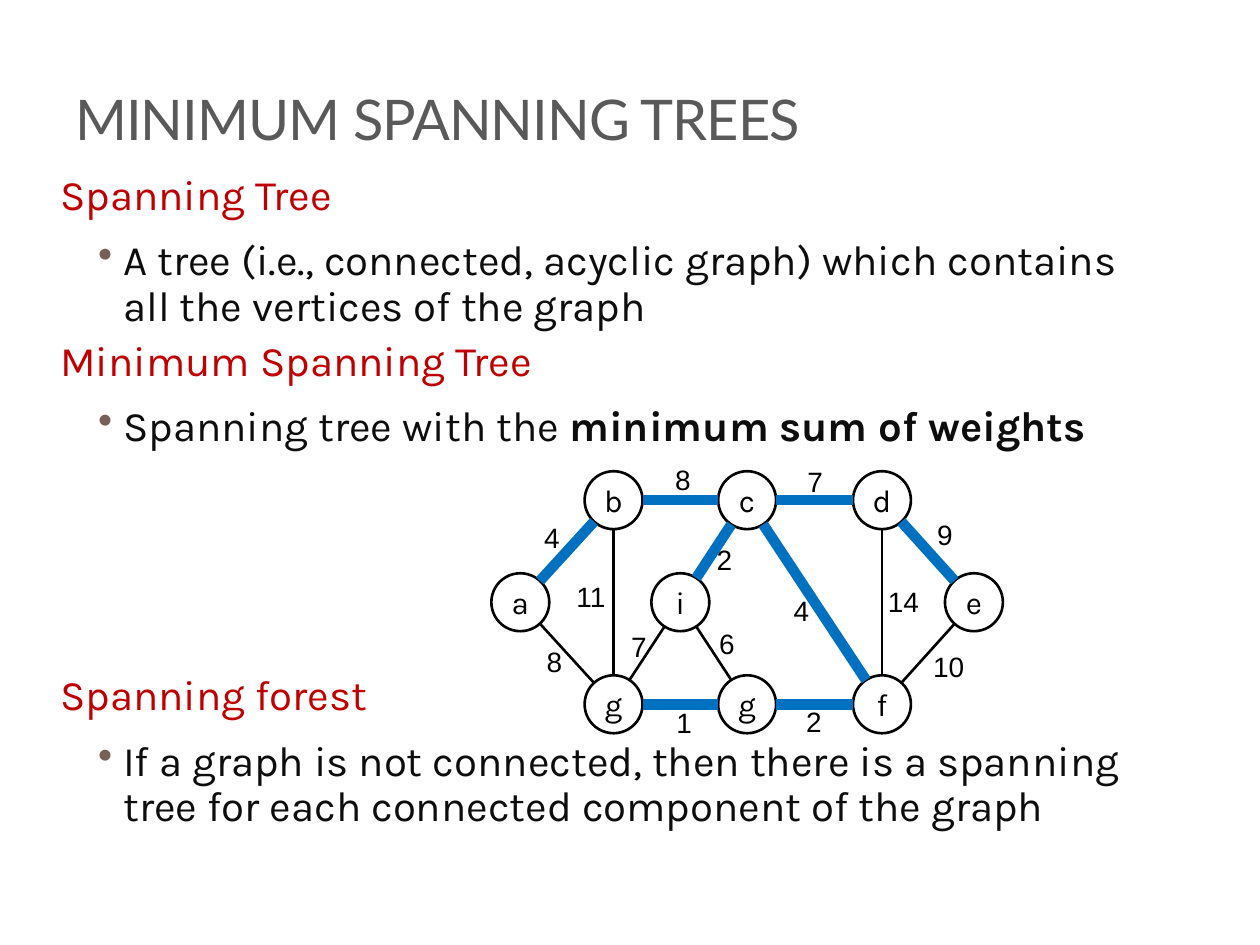
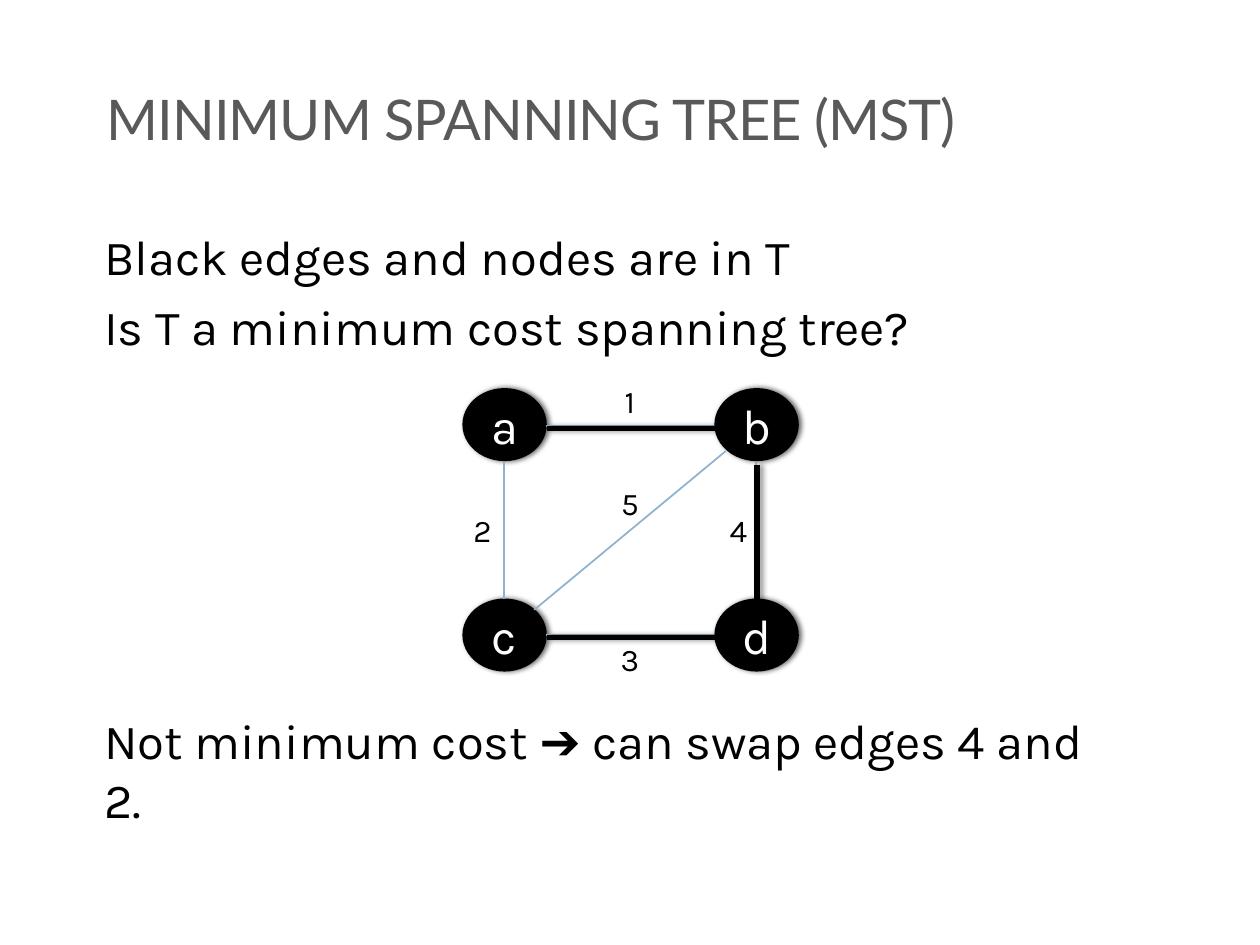
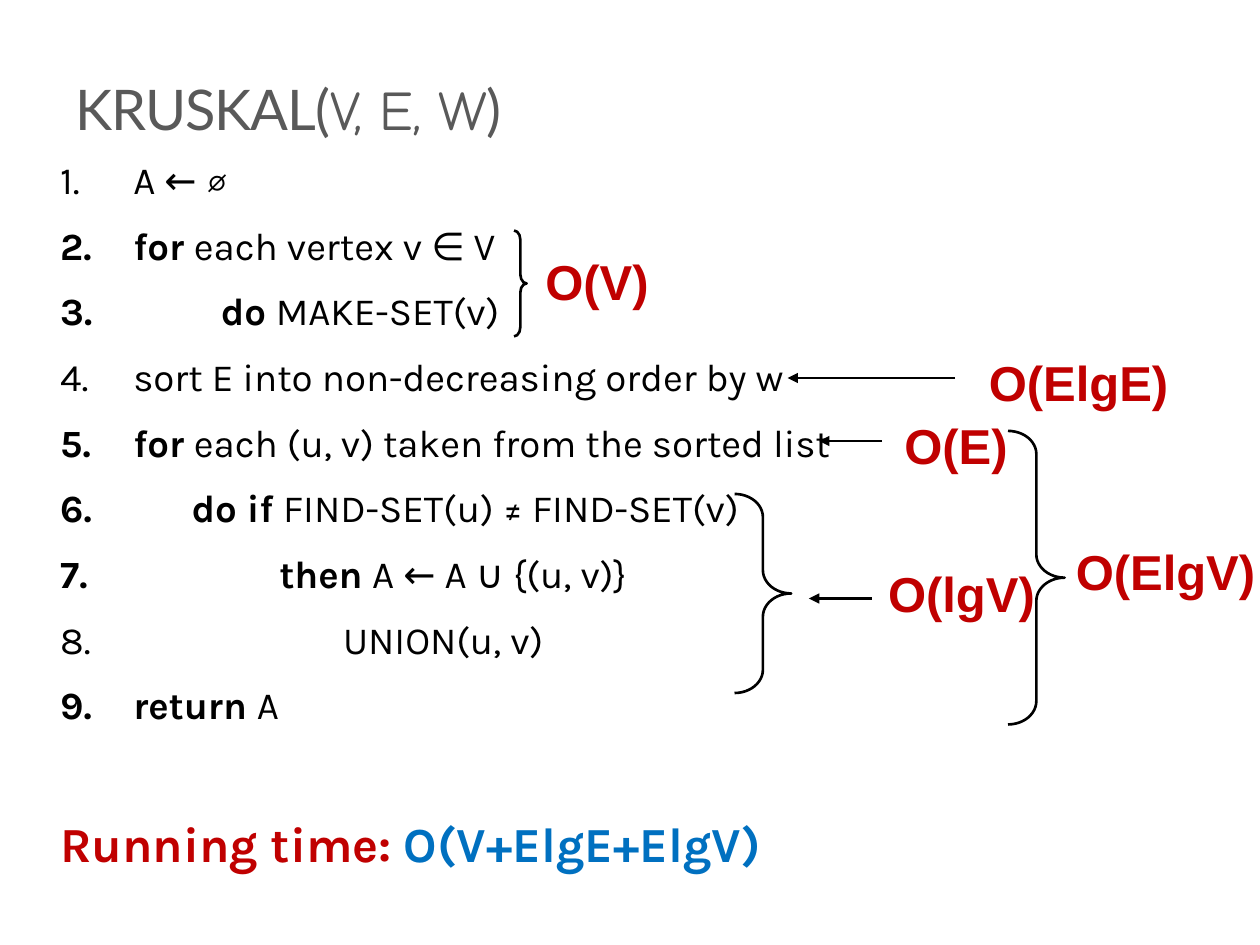
import math

import pptx
import pptx.dml.color
import pptx.enum.shapes
import pptx.enum.text
import pptx.oxml
import pptx.oxml.ns
import pptx.util

Inches = pptx.util.Inches
Pt = pptx.util.Pt
RGB = pptx.dml.color.RGBColor.from_string
SHAPE = pptx.enum.shapes.MSO_SHAPE
ALIGN = pptx.enum.text.PP_ALIGN
ANCHOR = pptx.enum.text.MSO_ANCHOR
NAMESPACE = pptx.oxml.ns.nsdecls("a")

COLORS = {
    "black": "000000",
    "white": "FFFFFF",
    "title": "595959",
    "body": "0D0D0D",
    "red": "C00000",
    "blue": "0070C0",
    "pale_blue": "8FB2CF",
    "bullet": "775F55",
}


def write(shape, lines, size, color="black", font="Karla", align=ALIGN.LEFT,
          anchor=ANCHOR.TOP, wrap=True):
    """Fill a shape with paragraphs; a bar in a line starts a new run."""
    frame = shape.text_frame
    frame.word_wrap = wrap
    frame.vertical_anchor = anchor
    frame.text = "\n".join(line.split("|")[0] for line in lines)
    for paragraph, line in zip(frame.paragraphs, lines):
        paragraph.alignment = align
        for text in line.split("|")[1:]:
            paragraph.add_run().text = text
        for run in paragraph.runs:
            run.font.name = font
            run.font.size = Pt(size)
            run.font.color.rgb = RGB(COLORS[color])
    return frame.paragraphs


def add_line(slide, start, end, color="black", width=1.5, arrow=False):
    line = slide.shapes.add_connector(
        pptx.enum.shapes.MSO_CONNECTOR.STRAIGHT, *map(Inches, start + end))
    line.line.color.rgb = RGB(COLORS[color])
    line.line.width = Pt(width)
    if arrow:
        line.line._get_or_add_ln().append(
            pptx.oxml.parse_xml(f'<a:tailEnd {NAMESPACE} type="triangle"/>'))
    effects = pptx.oxml.parse_xml(f"<a:effectLst {NAMESPACE}/>")
    line._element.spPr.append(effects)
    return line


presentation = pptx.Presentation()
presentation.slide_width = Inches(10)
presentation.slide_height = Inches(7.5)

# Titles and body boxes of all slides
slides, titles, bodies = [], [], []
for title, title_box, body_box in [
    ("MINIMUM SPANNING TREES", (0.5, 0, 8.17, 1.25), (0.38, 1.33, 9, 5.71)),
    ("MINIMUM SPANNING TREE (MST)", (0.75, 0.33, 8.33, 0.92), (0.73, 1.75, 8.33, 4.78)),
    ("KRUSKAL(|V, E, W|)", (0.5, -0.08, 8.17, 1.25), (0.38, 1.19, 9, 6.31)),
]:
    slide = presentation.slides.add_slide(presentation.slide_layouts[6])
    title_shape = slide.shapes.add_textbox(*map(Inches, title_box))
    heading = write(title_shape, [title], 32, "title", "Lato", anchor=ANCHOR.BOTTOM)[0]
    for run in heading.runs:
        run.font._element.set("spc", "-60")
    slides.append(slide)
    titles.append(heading)
    bodies.append(slide.shapes.add_textbox(*map(Inches, body_box)))
trees_slide, swap_slide, kruskal_slide = slides

# Slide 1: definitions, headings alternating with bulleted text
definitions = write(bodies[0], [
    "Spanning Tree",
    "A tree (i.e., connected, acyclic graph) which contains all the vertices of the graph",
    "Minimum Spanning Tree",
    "Spanning tree with the |minimum sum of weights",
    "Spanning forest",
    "If a graph is not connected, then there is a spanning tree for each connected "
    "component of the graph",
], 24, "body")
for index, paragraph in enumerate(definitions):
    paragraph.line_spacing = 0.9
    if index:
        paragraph.space_before = Pt(5.6)
    if index % 2 == 0:
        paragraph.space_after = Pt(6)
        paragraph.runs[0].font.color.rgb = RGB(COLORS["red"])
        continue
    properties = paragraph._element.get_or_add_pPr()
    properties.set("marL", str(Inches(0.5)))
    properties.set("indent", str(Inches(-0.2)))
    properties.append(pptx.oxml.parse_xml(
        f'<a:buClr {NAMESPACE}><a:srgbClr val="{COLORS["bullet"]}"/></a:buClr>'))
    properties.append(pptx.oxml.parse_xml(f'<a:buChar {NAMESPACE} char="•"/>'))
definitions[3].runs[1].font.bold = True
definitions[4].space_before = Pt(127.7)  # leaves room for the graph

# Slide 1: weighted graph, vertices by centre; the first letter is the label
RADIUS = 0.23
vertices = {
    "a": (4.13, 4.78), "b": (4.87, 3.97), "c": (5.93, 3.97),
    "d": (7, 3.97), "e": (7.73, 4.78), "g1": (4.87, 5.59),
    "g2": (5.93, 5.59), "f": (7, 5.59), "i": (5.4, 4.78),
}
for name, (x, y) in vertices.items():
    vertex = trees_slide.shapes.add_shape(
        SHAPE.OVAL, *map(Inches, (x - RADIUS, y - RADIUS, 2 * RADIUS, 2 * RADIUS)))
    vertex.shadow.inherit = False
    vertex.fill.background()
    vertex.line.color.rgb = RGB(COLORS["black"])
    vertex.line.width = Pt(1.5)
    write(vertex, [name[0]], 18, align=ALIGN.CENTER, anchor=ANCHOR.MIDDLE, wrap=False)

# Ends, weight, centre of the weight, edge is in the tree
for start, end, weight, x, y, in_tree in [
    ("b", "g1", "11", 4.69, 4.73, False),
    ("d", "f", "14", 7.17, 4.77, False),
    ("b", "c", "8", 5.42, 3.8, True),
    ("c", "d", "7", 6.47, 3.82, True),
    ("g1", "g2", "1", 5.43, 5.73, True),
    ("g2", "f", "2", 6.46, 5.72, True),
    ("a", "b", "4", 4.38, 4.26, True),
    ("f", "e", "10", 7.53, 5.29, False),
    ("d", "e", "9", 7.5, 4.24, True),
    ("a", "g1", "8", 4.4, 5.25, False),
    ("c", "f", "4", 6.36, 4.84, True),
    ("i", "g2", "6", 5.77, 5.1, False),
    ("i", "g1", "7", 5.07, 5.13, False),
    ("i", "c", "2", 5.75, 4.44, True),
]:
    (x1, y1), (x2, y2) = vertices[start], vertices[end]
    share = RADIUS / math.dist(vertices[start], vertices[end])
    dx, dy = (x2 - x1) * share, (y2 - y1) * share
    add_line(trees_slide, (x1 + dx, y1 + dy), (x2 - dx, y2 - dy),
             "blue" if in_tree else "black", 6 if in_tree else 1.5)
    label = trees_slide.shapes.add_textbox(
        *map(Inches, (x - 0.23, y - 0.18, 0.46, 0.37)))
    write(label, [weight], 16, font="Arial", align=ALIGN.CENTER, wrap=False)

# Slide 2: question and answer around the graph
question = write(bodies[1], [
    "Black edges and nodes are in T",
    "Is T a minimum cost spanning tree?",
    "Not minimum cost ➔ can swap edges 4 and 2.",
], 28)
question[1].space_before = Pt(6.5)
question[2].space_before = Pt(202.6)

shadowed = []
for index, name in enumerate("abcd"):
    row, column = divmod(index, 2)
    node = swap_slide.shapes.add_shape(
        SHAPE.OVAL, *map(Inches, (3.67 + 2 * column, 3.08 + 1.67 * row, 0.67, 0.58)))
    node.shadow.inherit = False
    node.fill.solid()
    node.fill.fore_color.rgb = RGB(COLORS["black"])
    node.line.fill.background()
    write(node, [name], 28, "white", align=ALIGN.CENTER, anchor=ANCHOR.MIDDLE)
    shadowed.append((node, 60, 3, 1.5))

tree_edges = [
    ((4.33, 3.38), (5.67, 3.38)),
    ((6, 3.67), (6, 4.75)),
    ((4.33, 5.04), (5.67, 5.04)),
]
other_edges = [((4, 3.67), (4, 4.75)), ((4.24, 4.84), (5.76, 3.58))]
for start, end in tree_edges + other_edges:
    add_line(swap_slide, start, end, "pale_blue", 1)
for cost, left, top in [
    ("1", 4.75, 2.98), ("2", 3.58, 4.01), ("5", 4.75, 3.79),
    ("3", 4.75, 5.03), ("4", 5.61, 4.01),
]:
    label = swap_slide.shapes.add_textbox(*map(Inches, (left, top, 0.5, 0.4)))
    write(label, [cost], 18, align=ALIGN.CENTER)
for (x1, y1), (x2, y2) in tree_edges:
    edge = add_line(swap_slide, (x1 + 0.01, y1 + 0.02), (x2 + 0.01, y2 + 0.02), width=3.25)
    shadowed.append((edge, 40, 3.1, 1.8))

for shape, opacity, blur, distance in shadowed:
    effects = shape._element.spPr.find(pptx.oxml.ns.qn("a:effectLst"))
    effects.append(pptx.oxml.parse_xml(
        f'<a:outerShdw {NAMESPACE} blurRad="{Pt(blur)}" dist="{Pt(distance)}" dir="0">'
        f'<a:srgbClr val="{COLORS["black"]}"><a:alpha val="{opacity * 1000}"/></a:srgbClr>'
        "</a:outerShdw>"))

# Slide 3: algorithm; a line of two runs starts with a keyword
titles[2].runs[1].font.name = "Comic Neue"
algorithm = write(bodies[2], [
    "A ← ∅",
    "for |each vertex v ∈ V",
    "         do |MAKE-SET(v)",
    "sort E into non-decreasing order by w",
    "for |each (u, v) taken from the sorted list",
    "      do if |FIND-SET(u) ≠ FIND-SET(v)",
    "               then |A ← A ∪ {(u, v)}",
    "                       UNION(u, v)",
    "return |A",
    "Running time:| O(V+ElgE+ElgV)",
], 22)
*steps, running_time = algorithm
for index, paragraph in enumerate(steps):
    if index:
        paragraph.space_before = Pt(5.1)
    paragraph.space_after = Pt(6)
    properties = paragraph._element.get_or_add_pPr()
    properties.set("marL", str(Inches(0.58)))
    properties.set("indent", str(Inches(-0.58)))
    properties.append(pptx.oxml.parse_xml(
        f'<a:buAutoNum {NAMESPACE} type="arabicPeriod"/>'))
    if len(paragraph.runs) == 2:
        paragraph.runs[0].font.bold = True
running_time.space_before = Pt(43.3)
for run, color in zip(running_time.runs, ("red", "blue")):
    run.font.size = Pt(28)
    run.font.bold = True
    run.font.color.rgb = RGB(COLORS[color])

# Slide 3: costs of the steps
for left, top, width, height, curve in [
    (4.08, 1.83, 0.1, 0.84, 0.72),
    (5.83, 3.92, 0.45, 1.58, 0.41),
    (8, 3.42, 0.45, 2.33, 0.41),
]:
    brace = kruskal_slide.shapes.add_shape(
        SHAPE.RIGHT_BRACE, *map(Inches, (left, top, width, height)))
    brace.shadow.inherit = False
    brace.adjustments[0] = curve
    brace.fill.background()
    brace.line.color.rgb = RGB(COLORS["black"])
    brace.line.width = Pt(1.5)
for cost, left, top, width in [
    ("O(V)", 4.23, 1.95, 1.03),
    ("O(ElgE)", 7.75, 2.75, 1.64),
    ("O(E)", 7.08, 3.25, 1.03),
    ("O(lgV)", 6.95, 4.42, 1.38),
    ("O(ElgV)", 8.44, 4.25, 1.64),
]:
    label = kruskal_slide.shapes.add_textbox(*map(Inches, (left, top, width, 0.57)))
    write(label, [cost], 28, "red", "Arial", wrap=False)[0].runs[0].font.bold = True
for right, left, y in [(7.58, 6.25, 3), (7, 6.5, 3.5), (6.92, 6.42, 4.75)]:
    add_line(kruskal_slide, (right, y), (left, y), arrow=True)

presentation.save("out.pptx")
